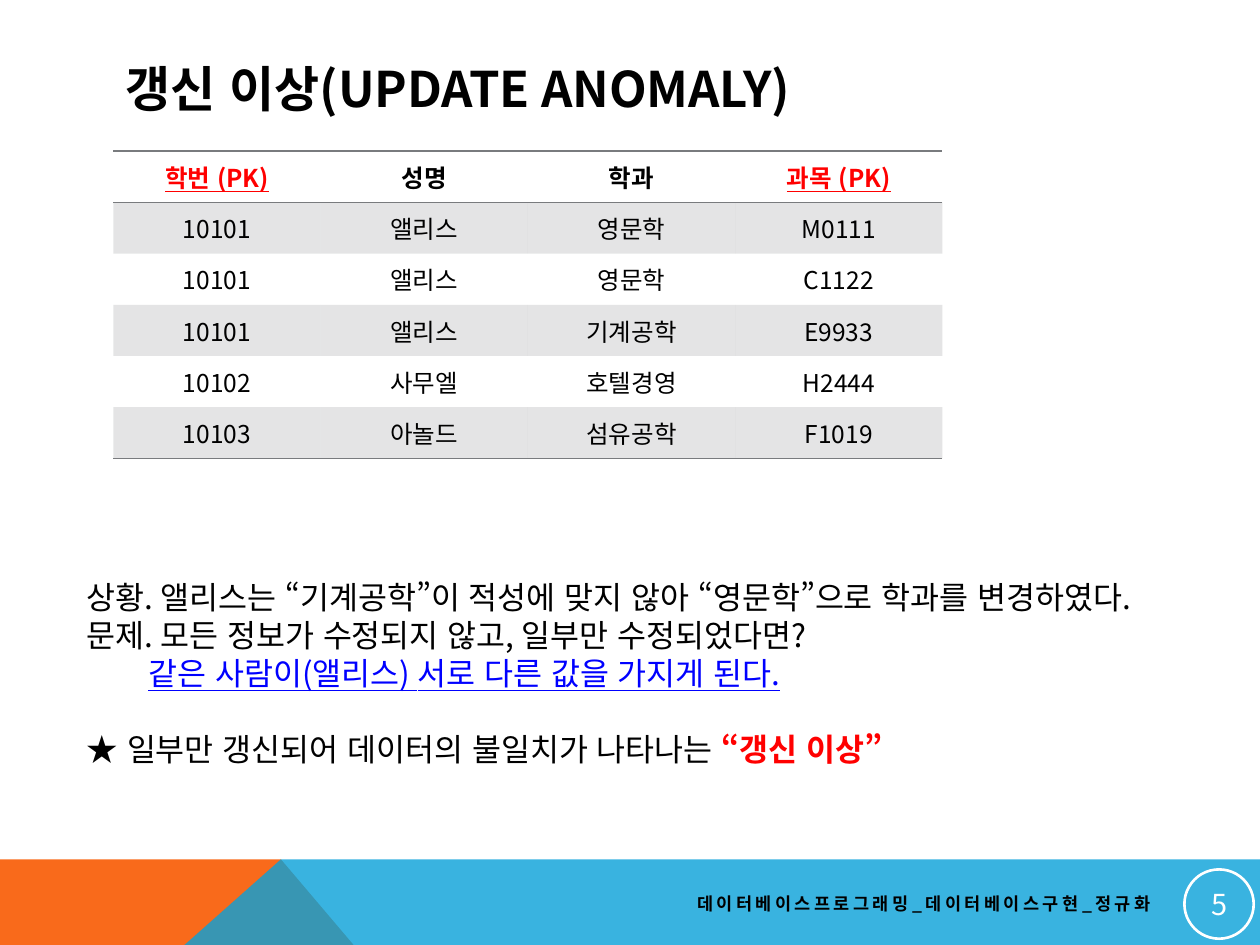
from dataclasses import dataclass

import lxml.etree
import pptx
import pptx.dml.color
import pptx.enum.shapes
import pptx.enum.text
import pptx.oxml
import pptx.oxml.ns
import pptx.util

Inches = pptx.util.Inches
Pt = pptx.util.Pt
Align = pptx.enum.text.PP_ALIGN
Anchor = pptx.enum.text.MSO_ANCHOR
qn = pptx.oxml.ns.qn


@dataclass(frozen=True)
class Theme:
    font: str = "Noto Sans CJK KR"
    black: str = "000000"
    white: str = "FFFFFF"
    red: str = "FF0000"
    blue: str = "0000FF"
    gray: str = "797B7E"
    orange: str = "F96A1B"
    sky: str = "08A1D9"
    title: float = 28
    body: float = 18
    body_line: float = 21.7
    number: float = 16.5
    cell: float = 14
    footer: float = 10


THEME = Theme()


@dataclass(frozen=True)
class TextRun:
    text: str
    size: float
    color: str = THEME.black
    bold: bool = False
    underline: bool = False
    spacing: float = 0


@dataclass(frozen=True)
class BodyLine:
    runs: tuple[TextRun, ...]
    indent: float = 0
    before: float = 0


@dataclass(frozen=True)
class Band:
    points: tuple[tuple[float, float], ...]
    color: str
    opacity: int


def rgb(color: str) -> pptx.dml.color.RGBColor:
    return pptx.dml.color.RGBColor.from_string(color)


def set_fill(fill, properties, color: str, opacity: int = 100) -> None:
    fill.solid()
    fill.fore_color.rgb = rgb(color)
    if opacity < 100:
        value = properties.find(qn("a:solidFill")).find(qn("a:srgbClr"))
        lxml.etree.SubElement(value, qn("a:alpha"), val=str(opacity * 1000))


def add_run(paragraph, item: TextRun) -> None:
    run = paragraph.add_run()
    run.text = item.text
    font = run.font
    font.name = THEME.font
    font.size = Pt(item.size)
    font.bold = item.bold
    font.underline = item.underline
    font.color.rgb = rgb(item.color)
    properties = run._r.get_or_add_rPr()
    properties.set("lang", "ko-KR")
    properties.set("altLang", "en-US")
    if item.spacing:
        properties.set("spc", str(round(item.spacing * 100)))


def add_text_box(slide, left: float, top: float, width: float, height: float,
                 anchor=Anchor.MIDDLE):
    box = slide.shapes.add_textbox(Inches(left), Inches(top), Inches(width), Inches(height))
    box.text_frame.word_wrap = True
    box.text_frame.vertical_anchor = anchor
    return box.text_frame


def add_band(slide, band: Band) -> None:
    points = [(Inches(x), Inches(y)) for x, y in band.points]
    builder = slide.shapes.build_freeform(*points[0])
    builder.add_line_segments(points[1:], close=True)
    shape = builder.convert_to_shape()
    shape.shadow.inherit = False
    shape.line.fill.background()
    set_fill(shape.fill, shape._element.spPr, band.color, band.opacity)


def add_borders(cell, sides: str) -> None:
    properties = cell._tc.get_or_add_tcPr()
    for index, side in enumerate(sides):
        properties.insert(index, pptx.oxml.parse_xml(
            f'<a:ln{side} {pptx.oxml.ns.nsdecls("a")} w="{Pt(1)}"><a:solidFill>'
            f'<a:srgbClr val="{THEME.gray}"/></a:solidFill></a:ln{side}>'))


def add_student_table(slide, rows: list[tuple[str, ...]]) -> None:
    frame = slide.shapes.add_table(len(rows), len(rows[0]), Inches(0.9), Inches(1.2),
                                   Inches(6.58), Inches(2.44))
    table = frame.table
    table.first_row = False
    table.horz_banding = False
    style = table._tbl.tblPr.find(qn("a:tableStyleId"))
    style.text = "{2D5ABB26-0587-4C30-8999-92F81FD0307C}"
    for row_index, row in enumerate(rows):
        header = row_index == 0
        for column_index, text in enumerate(row):
            cell = table.cell(row_index, column_index)
            cell.vertical_anchor = Anchor.MIDDLE
            paragraph = cell.text_frame.paragraphs[0]
            paragraph.alignment = Align.CENTER
            key = header and "(PK)" in text
            add_run(paragraph, TextRun(text, THEME.cell, THEME.red if key else THEME.black,
                                       header, key))
            if row_index % 2:
                set_fill(cell.fill, cell._tc.get_or_add_tcPr(), THEME.gray, 20)
            else:
                cell.fill.background()
            if header:
                add_borders(cell, "TB")
            elif row_index == len(rows) - 1:
                add_borders(cell, "B")


def add_body(slide, lines: list[BodyLine]) -> None:
    frame = add_text_box(slide, 0.59, 4.54, 9.24, 1.62, Anchor.TOP)
    for index, line in enumerate(lines):
        paragraph = frame.add_paragraph() if index else frame.paragraphs[0]
        paragraph.line_spacing = Pt(THEME.body_line)
        paragraph.space_before = Pt(line.before)
        paragraph._p.get_or_add_pPr().set("marL", str(Inches(line.indent)))
        for item in line.runs:
            add_run(paragraph, item)


def add_page_number(slide, number: str) -> None:
    circle = slide.shapes.add_shape(pptx.enum.shapes.MSO_SHAPE.OVAL, Inches(9.4), Inches(6.9),
                                    Inches(0.55), Inches(0.55))
    circle.shadow.inherit = False
    circle.fill.background()
    circle.line.color.rgb = rgb(THEME.white)
    circle.line.width = Pt(1.5)
    frame = circle.text_frame
    frame.margin_left = frame.margin_right = Inches(0.01)
    frame.margin_top = frame.margin_bottom = Inches(0.01)
    frame.vertical_anchor = Anchor.MIDDLE
    frame.paragraphs[0].alignment = Align.CENTER
    add_run(frame.paragraphs[0], TextRun(number, THEME.number, THEME.white))


BANDS = [
    Band(((0, 8.8), (0, 6.82), (2.23, 6.82), (3.91, 8.8)), THEME.orange, 100),
    Band(((0, 8.8), (2.23, 6.82), (10, 6.82), (10, 8.8)), THEME.sky, 80),
]
STUDENTS = [
    ("학번 (PK)", "성명", "학과", "과목 (PK)"),
    ("10101", "앨리스", "영문학", "M0111"),
    ("10101", "앨리스", "영문학", "C1122"),
    ("10101", "앨리스", "기계공학", "E9933"),
    ("10102", "사무엘", "호텔경영", "H2444"),
    ("10103", "아놀드", "섬유공학", "F1019"),
]
BODY = [
    BodyLine((TextRun("상황. 앨리스는 “기계공학”이 적성에 맞지 않아 “영문학”으로 학과를 변경하였다.",
                      THEME.body),)),
    BodyLine((TextRun("문제. 모든 정보가 수정되지 않고, 일부만 수정되었다면?", THEME.body),)),
    BodyLine((TextRun("같은 사람이(앨리스) 서로 다른 값을 가지게 된다.", THEME.body, THEME.blue,
                      underline=True),), indent=0.49),
    BodyLine((TextRun("★ 일부만 갱신되어 데이터의 불일치가 나타나는 ", THEME.body),
              TextRun("“갱신 이상”", THEME.body, THEME.red, bold=True)),
             before=THEME.body_line),
]

presentation = pptx.Presentation()
presentation.slide_width = Inches(10)
presentation.slide_height = Inches(7.5)
slide = presentation.slides.add_slide(presentation.slide_layouts[6])
for band in BANDS:
    add_band(slide, band)
title = add_text_box(slide, 0.9, 0.4, 8.22, 0.6)
add_run(title.paragraphs[0], TextRun("갱신 이상(UPDATE ANOMALY)", THEME.title, bold=True))
add_student_table(slide, STUDENTS)
footer = add_text_box(slide, 4.06, 7.02, 5.17, 0.3)
footer.paragraphs[0].alignment = Align.RIGHT
add_run(footer.paragraphs[0], TextRun("데이터베이스프로그래밍_데이터베이스구현_정규화", THEME.footer,
                                      bold=True, spacing=2))
add_page_number(slide, "5")
add_body(slide, BODY)
presentation.save("out.pptx")
